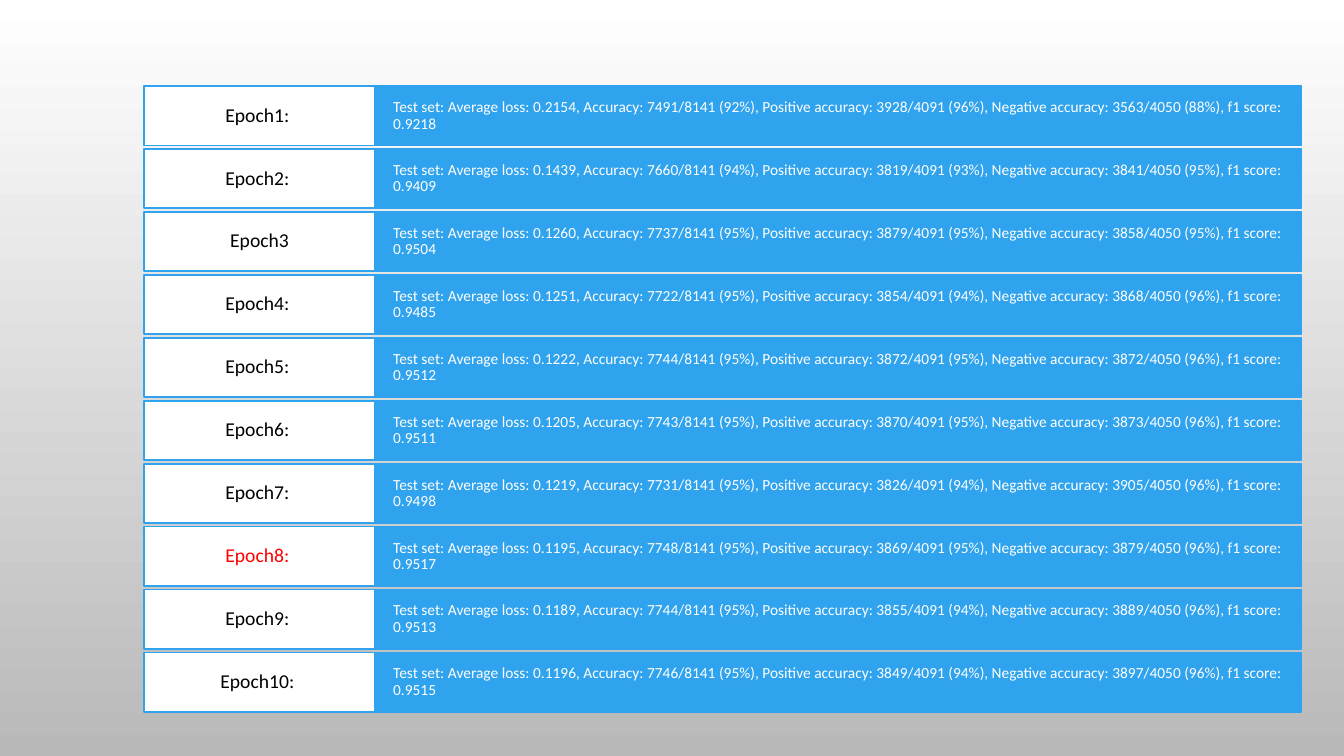
from dataclasses import dataclass

from pptx import Presentation
from pptx.dml.color import RGBColor
from pptx.enum.shapes import MSO_SHAPE
from pptx.enum.text import MSO_ANCHOR, PP_ALIGN
from pptx.util import Pt

RECTANGLE = MSO_SHAPE.RECTANGLE
MIDDLE = MSO_ANCHOR.MIDDLE
LEFT, CENTER = PP_ALIGN.LEFT, PP_ALIGN.CENTER


@dataclass(frozen=True)
class Theme:
    font: str = "Calibri"
    blue: RGBColor = RGBColor(0x2F, 0xA3, 0xEE)
    white: RGBColor = RGBColor(0xFF, 0xFF, 0xFF)
    black: RGBColor = RGBColor(0, 0, 0)
    red: RGBColor = RGBColor(0xFF, 0, 0)
    gray: RGBColor = RGBColor(0xB9, 0xB9, 0xB9)
    label_size: float = 14
    result_size: float = 11
    border: float = 1.25


THEME = Theme()
FIRST_TOP, ROW_PITCH, ROW_HEIGHT = 61.4, 44.96, 42.5
LABEL_LEFT, RESULT_LEFT, RESULT_RIGHT = 102.9, 268, 929.7
POSITIVES, NEGATIVES = 4091, 4050


@dataclass(frozen=True)
class Epoch:
    label: str
    loss: float
    positive_hits: int
    negative_hits: int
    f1: float
    color: RGBColor = THEME.black

    def summary(self) -> str:
        accuracy = ratio(self.positive_hits + self.negative_hits, POSITIVES + NEGATIVES)
        return (
            f"Test set: Average loss: {self.loss:.4f}, Accuracy: {accuracy}, "
            f"Positive accuracy: {ratio(self.positive_hits, POSITIVES)}, "
            f"Negative accuracy: {ratio(self.negative_hits, NEGATIVES)}, "
            f"f1 score: {self.f1:.4f}"
        )


EPOCHS = [
    Epoch("Epoch1: ", 0.2154, 3928, 3563, 0.9218),
    Epoch("Epoch2: ", 0.1439, 3819, 3841, 0.9409),
    Epoch("Epoch3", 0.1260, 3879, 3858, 0.9504),
    Epoch("Epoch4: ", 0.1251, 3854, 3868, 0.9485),
    Epoch("Epoch5: ", 0.1222, 3872, 3872, 0.9512),
    Epoch("Epoch6: ", 0.1205, 3870, 3873, 0.9511),
    Epoch("Epoch7: ", 0.1219, 3826, 3905, 0.9498),
    Epoch("Epoch8: ", 0.1195, 3869, 3879, 0.9517, THEME.red),
    Epoch("Epoch9: ", 0.1189, 3855, 3889, 0.9513),
    Epoch("Epoch10: ", 0.1196, 3849, 3897, 0.9515),
]


def ratio(hits: int, total: int) -> str:
    return f"{hits}/{total} ({hits / total:.0%})"


def write_text(shape, text: str, *, size: float, color: RGBColor, align: PP_ALIGN,
               inset_x: float, inset_y: float) -> None:
    frame = shape.text_frame
    frame.word_wrap = True
    frame.vertical_anchor = MIDDLE
    frame.margin_left = frame.margin_right = Pt(inset_x)
    frame.margin_top = frame.margin_bottom = Pt(inset_y)
    paragraph = frame.paragraphs[0]
    paragraph.alignment = align
    paragraph.line_spacing = 0.9
    paragraph.space_after = Pt(size * 0.35)
    run = paragraph.add_run()
    run.text = text
    run.font.name = THEME.font
    run.font.size = Pt(size)
    run.font.color.rgb = color


def draw_box(slide, left: float, right: float, top: float, fill: RGBColor):
    box = slide.shapes.add_shape(RECTANGLE, Pt(left), Pt(top), Pt(right - left), Pt(ROW_HEIGHT))
    box.shadow.inherit = False
    box.fill.solid()
    box.fill.fore_color.rgb = fill
    box.line.color.rgb = THEME.blue
    box.line.width = Pt(THEME.border)
    return box


def draw_epoch(slide, epoch: Epoch, top: float) -> None:
    result = draw_box(slide, RESULT_LEFT, RESULT_RIGHT, top, THEME.blue)
    write_text(result, epoch.summary(), size=THEME.result_size, color=THEME.white,
               align=LEFT, inset_x=12.8, inset_y=10.8)
    label = draw_box(slide, LABEL_LEFT, RESULT_LEFT, top, THEME.white)
    write_text(label, epoch.label, size=THEME.label_size, color=epoch.color,
               align=CENTER, inset_x=8.6, inset_y=4.3)


def paint_background(slide) -> None:
    fill = slide.background.fill
    fill.gradient()
    fill.gradient_angle = 270
    for stop, color in zip(fill.gradient_stops, (THEME.white, THEME.gray)):
        stop.color.rgb = color


def main() -> None:
    deck = Presentation()
    deck.slide_width, deck.slide_height = Pt(960), Pt(540)
    slide = deck.slides.add_slide(deck.slide_layouts[6])
    paint_background(slide)
    for row, epoch in enumerate(EPOCHS):
        draw_epoch(slide, epoch, FIRST_TOP + row * ROW_PITCH)
    deck.save("out.pptx")


if __name__ == "__main__":
    main()
